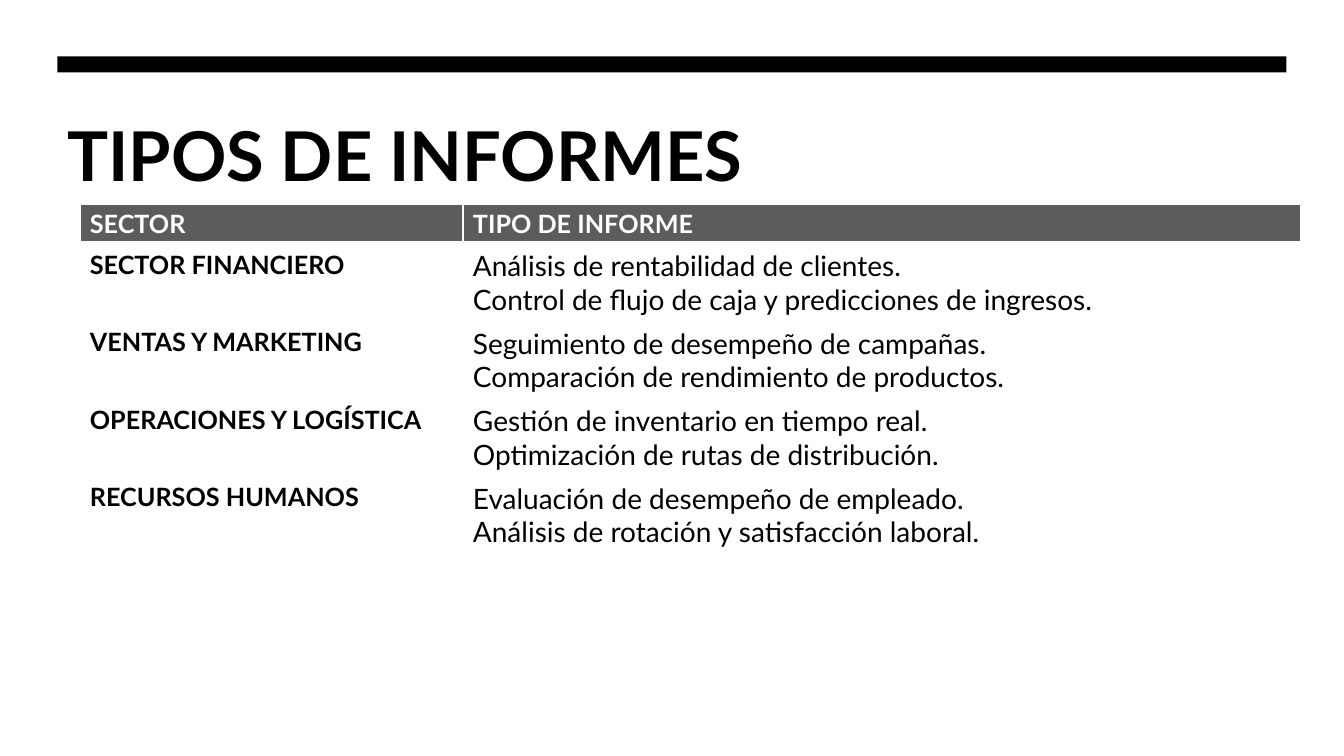
from dataclasses import dataclass

from lxml.etree import SubElement
from pptx import Presentation
from pptx.dml.color import RGBColor
from pptx.enum.shapes import MSO_SHAPE
from pptx.enum.text import MSO_ANCHOR, MSO_AUTO_SIZE, PP_ALIGN
from pptx.oxml.ns import qn
from pptx.slide import Slide
from pptx.table import _Cell as Cell
from pptx.util import Pt

FONT = "Lato"
BLACK = "000000"
WHITE = "FFFFFF"
GRAY = "5C5C5C"
THIN_BORDER = 1.92
THICK_BORDER = 5.75
HEADER_HEIGHT = 28.8
BODY_HEIGHT = 55.2
COLUMN_WIDTHS = (273.6, 599.04)


@dataclass(frozen=True)
class TextStyle:
    size: float
    line_spacing: float
    bold: bool
    color: str


@dataclass(frozen=True)
class SectorReports:
    sector: str
    reports: tuple[str, ...]


HEADER_STYLE = TextStyle(18, 21.8, True, WHITE)
SECTOR_STYLE = TextStyle(18, 21.8, True, BLACK)
REPORT_STYLE = TextStyle(20, 24, False, BLACK)

HEADINGS = ("SECTOR", "TIPO DE INFORME")
SECTORS = (
    SectorReports("SECTOR FINANCIERO", (
        "Análisis de rentabilidad de clientes.",
        "Control de flujo de caja y predicciones de ingresos.",
    )),
    SectorReports("VENTAS Y MARKETING", (
        "Seguimiento de desempeño de campañas.",
        "Comparación de rendimiento de productos.",
    )),
    SectorReports("OPERACIONES Y LOGÍSTICA", (
        "Gestión de inventario en tiempo real.",
        "Optimización de rutas de distribución.",
    )),
    SectorReports("RECURSOS HUMANOS", (
        "Evaluación de desempeño de empleado.",
        "Análisis de rotación y satisfacción laboral.",
    )),
)


def rgb(color: str) -> RGBColor:
    return RGBColor.from_string(color)


def add_bar(slide: Slide) -> None:
    bar = slide.shapes.add_shape(
        MSO_SHAPE.RECTANGLE, Pt(41), Pt(40.3), Pt(878), Pt(11.5))
    bar.shadow.inherit = False
    bar.fill.solid()
    bar.fill.fore_color.rgb = rgb(BLACK)
    bar.line.fill.background()


def set_title(slide: Slide, text: str) -> None:
    title = slide.shapes.title
    title.left, title.top, title.width, title.height = (
        Pt(41), Pt(77), Pt(878), Pt(59))
    frame = title.text_frame
    frame.text = text
    frame.auto_size = MSO_AUTO_SIZE.NONE
    frame.vertical_anchor = MSO_ANCHOR.TOP
    paragraph = frame.paragraphs[0]
    paragraph.alignment = PP_ALIGN.LEFT
    paragraph.font.name = FONT
    paragraph.font.size = Pt(49)
    paragraph.font.bold = True
    paragraph.font.color.rgb = rgb(BLACK)


def set_borders(cell: Cell, top: float, bottom: float) -> None:
    properties = cell._tc.get_or_add_tcPr()
    widths = {"lnL": THIN_BORDER, "lnR": THIN_BORDER, "lnT": top, "lnB": bottom}
    for side, width in widths.items():
        line = SubElement(properties, qn(f"a:{side}"), w=str(Pt(width)))
        fill = SubElement(line, qn("a:solidFill"))
        SubElement(fill, qn("a:srgbClr"), val=WHITE)


def fill_cell(cell: Cell, lines: tuple[str, ...], style: TextStyle,
              is_header: bool, top: float, bottom: float) -> None:
    set_borders(cell, top, bottom)
    if is_header:
        cell.fill.solid()
        cell.fill.fore_color.rgb = rgb(GRAY)
    else:
        cell.fill.background()
    cell.text = "\n".join(lines)
    for paragraph in cell.text_frame.paragraphs:
        paragraph.line_spacing = Pt(style.line_spacing)
        paragraph.font.name = FONT
        paragraph.font.size = Pt(style.size)
        paragraph.font.bold = style.bold
        paragraph.font.color.rgb = rgb(style.color)


def add_report_table(slide: Slide) -> None:
    height = HEADER_HEIGHT + BODY_HEIGHT * len(SECTORS)
    table = slide.shapes.add_table(
        len(SECTORS) + 1, len(COLUMN_WIDTHS),
        Pt(57), Pt(145.5), Pt(sum(COLUMN_WIDTHS)), Pt(height)).table
    table.horz_banding = False
    for column, width in zip(table.columns, COLUMN_WIDTHS):
        column.width = Pt(width)

    table.rows[0].height = Pt(HEADER_HEIGHT)
    for column_index, heading in enumerate(HEADINGS):
        fill_cell(table.cell(0, column_index), (heading,), HEADER_STYLE,
                  True, THIN_BORDER, THICK_BORDER)

    for row_index, entry in enumerate(SECTORS, start=1):
        table.rows[row_index].height = Pt(BODY_HEIGHT)
        top = THICK_BORDER if row_index == 1 else THIN_BORDER
        fill_cell(table.cell(row_index, 0), (entry.sector,), SECTOR_STYLE,
                  False, top, THIN_BORDER)
        fill_cell(table.cell(row_index, 1), entry.reports, REPORT_STYLE,
                  False, top, THIN_BORDER)


def main() -> None:
    presentation = Presentation()
    presentation.slide_width = Pt(960)
    presentation.slide_height = Pt(540)
    slide = presentation.slides.add_slide(presentation.slide_layouts[5])
    add_bar(slide)
    set_title(slide, "TIPOS DE INFORMES")
    add_report_table(slide)
    presentation.save("out.pptx")


if __name__ == "__main__":
    main()
